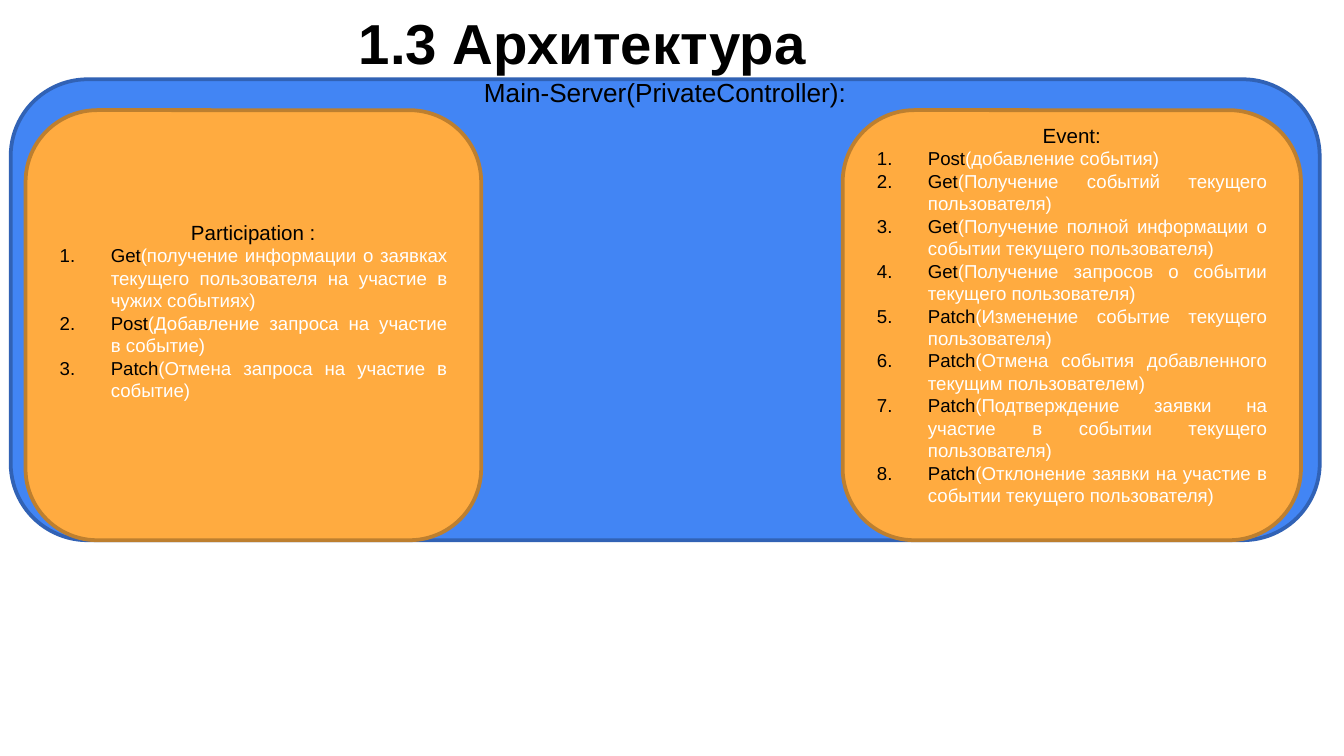
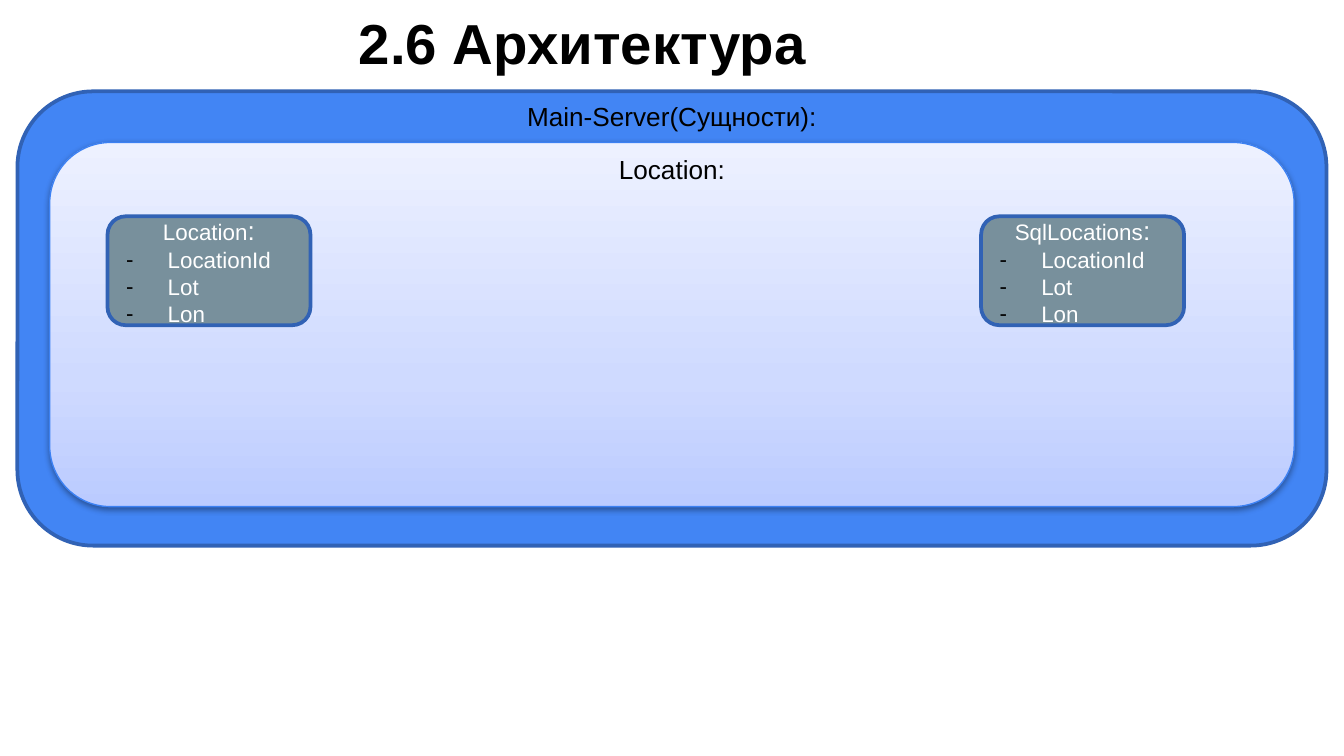
"""Build two architecture slides of nested rounded panels."""
from pptx import Presentation
from pptx.dml.color import RGBColor
from pptx.enum.shapes import MSO_SHAPE
from pptx.enum.text import MSO_ANCHOR, MSO_AUTO_SIZE, PP_ALIGN
from pptx.oxml import parse_xml
from pptx.util import Inches, Pt

ROUND = MSO_SHAPE.ROUNDED_RECTANGLE
TOP, MIDDLE = MSO_ANCHOR.TOP, MSO_ANCHOR.MIDDLE
LEFT, CENTER, JUSTIFY = PP_ALIGN.LEFT, PP_ALIGN.CENTER, PP_ALIGN.JUSTIFY
FIXED = MSO_AUTO_SIZE.NONE

FONT = "Arial"
BLACK, WHITE = "000000", "FFFFFF"
BLUE, NAVY, SKY = "4285F4", "3162B5", "3C81F3"
AMBER, BROWN, SLATE = "FFAB40", "BD7F2F", "78909C"
FADE = ((0, "BBCBFF"), (35, "CFDAFF"), (100, "EDF1FF"))
COLS, ROWS = 100, 56.25
UNIT = Inches(0.1)
PAD = 1
CURVE = 0.0488
NS = 'xmlns:a="http://schemas.openxmlformats.org/drawingml/2006/main"'

PART = (
    ("Get", "(получение информации о заявках текущего пользователя на участие в чужих событиях)"),
    ("Post", "(Добавление запроса на участие в событие)"),
    ("Patch", "(Отмена запроса на участие в событие)"),
)
EVENT = (
    ("Post", "(добавление события)"),
    ("Get", "(Получение событий текущего пользователя)"),
    ("Get", "(Получение полной информации о событии текущего пользователя)"),
    ("Get", "(Получение запросов о событии текущего пользователя)"),
    ("Patch", "(Изменение событие текущего пользователя)"),
    ("Patch", "(Отмена события добавленного текущим пользователем)"),
    ("Patch", "(Подтверждение заявки на участие в событии текущего пользователя)"),
    ("Patch", "(Отклонение заявки на участие в событии текущего пользователя)"),
)
FIELDS = ("LocationId", "Lot", "Lon")


def grid(n):
    """Turn grid units into a length."""
    return round(n * UNIT)


def hue(code):
    """Turn a hex string into a colour."""
    return RGBColor.from_string(code)


def write(para, text, size=14, color=BLACK, bold=False, align=CENTER):
    """Add one formatted run to a paragraph."""
    para.alignment = align
    run = para.add_run()
    run.text = text
    font = run.font
    font.name, font.size, font.bold = FONT, Pt(size), bold
    font.color.rgb = hue(color)


def bullet(para, mark, dent):
    """Give a paragraph a black marker and a hanging indent."""
    props = para._p.get_or_add_pPr()
    props.set("marL", str(Inches(dent)))
    props.set("indent", str(-Inches(dent)))
    props.append(parse_xml(f'<a:buClr {NS}><a:srgbClr val="{BLACK}"/></a:buClr>'))
    props.append(parse_xml(f'<a:buFont {NS} typeface="{FONT}"/>'))
    props.append(parse_xml(f"<a:{mark[0]} {NS} {mark[1]}/>"))


def title(slide, text):
    """Place and fill the title placeholder."""
    head = slide.shapes.title
    head.left, head.top, head.width, head.height = map(grid, (25.7, -0.4, 38.1, 6.3))
    frame = head.text_frame
    frame.auto_size, frame.vertical_anchor = FIXED, TOP
    frame.margin_left = frame.margin_right = grid(PAD)
    frame.margin_top = frame.margin_bottom = grid(PAD)
    write(frame.paragraphs[0], text, size=30.2, bold=True, align=LEFT)


def panel(slide, box, fill, edge, width=2, foot=0):
    """Draw a rounded panel with centred text and a spare foot."""
    shape = slide.shapes.add_shape(ROUND, *map(grid, box))
    shape.shadow.inherit = False
    shape.fill.solid()
    shape.fill.fore_color.rgb = hue(fill)
    shape.line.color.rgb = hue(edge)
    shape.line.width = Pt(width)
    frame = shape.text_frame
    frame.word_wrap, frame.vertical_anchor = True, MIDDLE
    frame.margin_left = frame.margin_right = frame.margin_top = grid(PAD)
    frame.margin_bottom = grid(PAD + foot)
    return shape


def label(shape, text, gap):
    """Write a heading a given gap below the panel's top edge."""
    frame = shape.text_frame
    frame.vertical_anchor = TOP
    frame.margin_top = grid(gap) - round(CURVE * shape.height)
    frame.margin_bottom = 0
    write(frame.paragraphs[0], text)


def glow(shape):
    """Give a panel a three-stop gradient and a soft shadow."""
    stops = "".join(f'<a:gs pos="{at * 1000}"><a:srgbClr val="{code}"/></a:gs>' for at, code in FADE)
    props = shape._element.spPr
    solid = props.find("{*}solidFill")
    props.replace(solid, parse_xml(
        f'<a:gradFill {NS}><a:gsLst>{stops}</a:gsLst><a:lin ang="16200000" scaled="0"/></a:gradFill>'))
    props.find("{*}effectLst").append(parse_xml(
        f'<a:outerShdw {NS} blurRad="{Pt(3.1)}" dist="{Pt(1.6)}" dir="5400000" rotWithShape="0">'
        f'<a:srgbClr val="{BLACK}"><a:alpha val="38000"/></a:srgbClr></a:outerShdw>'))


def calls(slide, box, name, items, foot):
    """Draw a panel with a numbered list of requests."""
    frame = panel(slide, box, AMBER, BROWN, foot=foot).text_frame
    write(frame.paragraphs[0], name, size=11)
    for verb, note in items:
        para = frame.add_paragraph()
        bullet(para, ("buAutoNum", 'type="arabicPeriod"'), 0.38)
        write(para, verb, size=10, align=JUSTIFY)
        write(para, note, size=10, color=WHITE, align=JUSTIFY)


def entity(slide, left, name):
    """Draw a small panel with the fields of an entity."""
    frame = panel(slide, (left, 16.1, 15.1, 8.1), SLATE, NAVY).text_frame
    first = frame.paragraphs[0]
    write(first, name, size=12, color=WHITE)
    write(first, ":", color=WHITE)
    for field in FIELDS:
        para = frame.add_paragraph()
        bullet(para, ("buChar", 'char="-"'), 0.31)
        write(para, field, size=12, color=WHITE, align=JUSTIFY)


def main():
    """Build and save the slides."""
    deck = Presentation()
    deck.slide_width, deck.slide_height = grid(COLS), grid(ROWS)
    layout = deck.slide_layouts[5]

    slide = deck.slides.add_slide(layout)
    title(slide, "1.3 Архитектура")
    label(panel(slide, (0.8, 5.9, 97.4, 34.3), BLUE, NAVY), "Main-Server(PrivateController):", -0.2)
    calls(slide, (1.9, 8.2, 33.9, 32), "Participation :", PART, 2.2)
    calls(slide, (62.7, 8.2, 34.1, 32), "Event:", EVENT, 1.6)

    slide = deck.slides.add_slide(layout)
    title(slide, "2.6 Архитектура")
    label(panel(slide, (1.3, 6.8, 97.4, 33.8), BLUE, NAVY), "Main-Server(Сущности):", 0.7)
    inner = panel(slide, (3.7, 10.6, 92.6, 27.1), BLUE, SKY, width=0.75)
    glow(inner)
    label(inner, "Location:", 0.8)
    entity(slide, 8, "Location")
    entity(slide, 73, "SqlLocations")

    deck.save("out.pptx")


if __name__ == "__main__":
    main()
